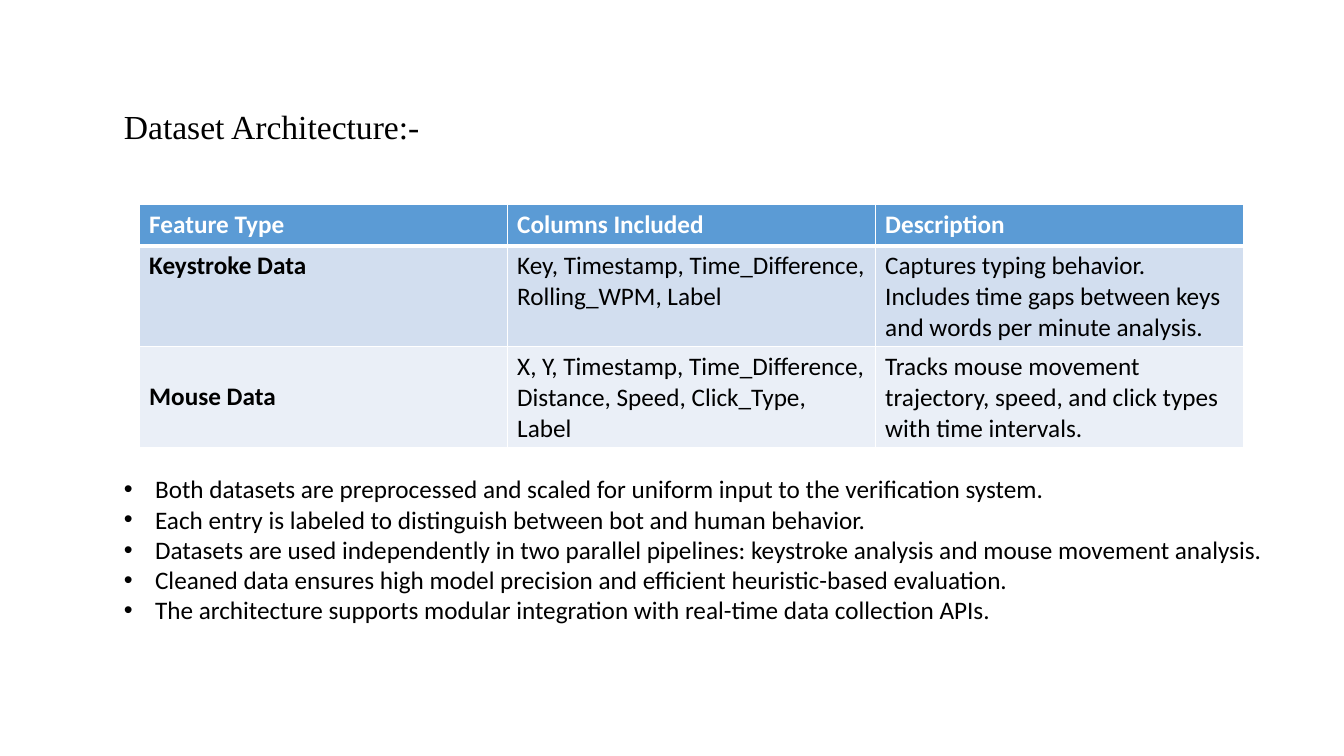
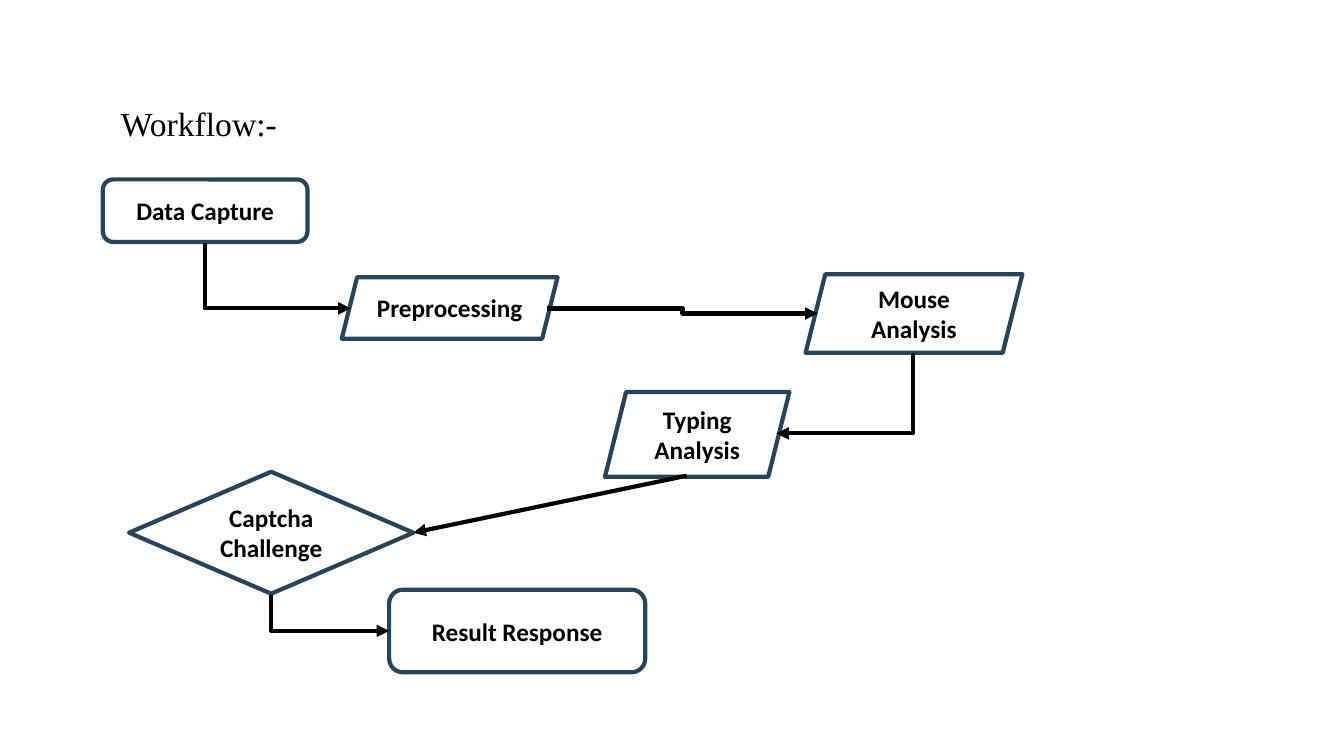
from dataclasses import dataclass

from lxml import etree
from pptx import Presentation
from pptx.dml.color import RGBColor
from pptx.enum.shapes import MSO_CONNECTOR, MSO_SHAPE
from pptx.enum.text import MSO_ANCHOR, PP_ALIGN
from pptx.oxml.ns import qn
from pptx.util import Inches, Pt

ROUNDED, SLANTED, DIAMOND = MSO_SHAPE.ROUNDED_RECTANGLE, MSO_SHAPE.PARALLELOGRAM, MSO_SHAPE.DIAMOND
STRAIGHT, ELBOW = MSO_CONNECTOR.STRAIGHT, MSO_CONNECTOR.ELBOW
TOP, MIDDLE = MSO_ANCHOR.TOP, MSO_ANCHOR.MIDDLE
CENTER = PP_ALIGN.CENTER
DIAMOND_RIGHT = 3


@dataclass(frozen=True)
class Theme:
    black: RGBColor = RGBColor.from_string("000000")
    white: RGBColor = RGBColor.from_string("FFFFFF")
    outline: RGBColor = RGBColor.from_string("28445D")
    header: RGBColor = RGBColor.from_string("5B9BD5")
    bands: tuple = (RGBColor.from_string("D2DEEF"), RGBColor.from_string("EAEFF7"))
    title_font: str = "Times New Roman"
    body_font: str = "Calibri"
    title_size: int = 24
    body_size: int = 18
    line_width: int = 3
    border_width: int = 1


THEME = Theme()

FEATURES = [
    ("Feature Type", "Columns Included", "Description"),
    ("Keystroke Data", "Key, Timestamp, Time_Difference, Rolling_WPM, Label",
     "Captures typing behavior. Includes time gaps between keys and words per minute analysis."),
    ("Mouse Data", "X, Y, Timestamp, Time_Difference, Distance, Speed, Click_Type, Label",
     "Tracks mouse movement trajectory, speed, and click types with time intervals."),
]

NOTES = [
    "Both datasets are preprocessed and scaled for uniform input to the verification system.",
    "Each entry is labeled to distinguish between bot and human behavior.",
    "Datasets are used independently in two parallel pipelines: "
    "keystroke analysis and mouse movement analysis.",
    "Cleaned data ensures high model precision and efficient heuristic-based evaluation.",
    "The architecture supports modular integration with real-time data collection APIs.",
]

STEPS = [
    ("Data Capture", ROUNDED, (1.02, 1.78, 2.03, 0.62)),
    ("Preprocessing", SLANTED, (3.39, 2.75, 2.14, 0.61)),
    ("Mouse Analysis", SLANTED, (7.99, 2.72, 2.15, 0.78)),
    ("Typing Analysis", SLANTED, (6, 3.89, 1.83, 0.84)),
    ("Captcha Challenge", DIAMOND, (1.28, 4.68, 2.82, 1.21)),
    ("Result Response", ROUNDED, (3.86, 5.85, 2.54, 0.82)),
]

# Each corner arrow leaves its start vertically and reaches its end horizontally.
CORNER_ARROWS = [
    ((2.03, 2.41), (3.48, 3.06)),
    ((9.06, 3.5), (7.7, 4.3)),
    ((2.69, 5.9), (3.86, 6.26)),
]


def inches(values):
    return [Inches(v) for v in values]


def style_text(p, color=THEME.black, bold=False, font=THEME.body_font, size=THEME.body_size):
    p.font.name = font
    p.font.size = Pt(size)
    p.font.bold = bold
    p.font.color.rgb = color


def add_text_box(s, box):
    tf = s.shapes.add_textbox(*inches(box)).text_frame
    tf.word_wrap = True
    return tf


def add_title(s, text, box):
    p = add_text_box(s, box).paragraphs[0]
    p.text = text
    style_text(p, font=THEME.title_font, size=THEME.title_size)


def add_bullets(s, items, box, indent=0.31):
    tf = add_text_box(s, box)
    for i, item in enumerate(items):
        p = tf.add_paragraph() if i else tf.paragraphs[0]
        p.text = item
        style_text(p)
        props = p._p.get_or_add_pPr()
        props.set("marL", str(Inches(indent)))
        props.set("indent", str(-Inches(indent)))
        etree.SubElement(props, qn("a:buFont"), typeface="Arial")
        etree.SubElement(props, qn("a:buChar"), char="•")


def set_borders(cell, widths):
    """Draw white borders; widths are points by side: L, R, T, B."""
    props = cell._tc.get_or_add_tcPr()
    for side, width in widths.items():
        ln = etree.SubElement(props, qn(f"a:ln{side}"), w=str(Pt(width)))
        fill = etree.SubElement(ln, qn("a:solidFill"))
        etree.SubElement(fill, qn("a:srgbClr"), val=str(THEME.white))


def add_feature_table(s, rows, box, heights):
    table = s.shapes.add_table(len(rows), len(rows[0]), *inches(box)).table
    for row, height in zip(table.rows, heights):
        row.height = Inches(height)
    thin, thick = THEME.border_width, THEME.line_width
    for r, texts in enumerate(rows):
        is_header = r == 0
        for c, text in enumerate(texts):
            cell = table.cell(r, c)
            cell.text = text
            set_borders(cell, {"L": thin, "R": thin, "T": thick if r == 1 else thin,
                               "B": thick if is_header else thin})
            cell.fill.solid()
            cell.fill.fore_color.rgb = THEME.header if is_header else THEME.bands[(r - 1) % 2]
            cell.vertical_anchor = MIDDLE if (r, c) == (2, 0) else TOP
            style_text(cell.text_frame.paragraphs[0],
                       THEME.white if is_header else THEME.black, bold=is_header or c == 0)


def add_step(s, text, kind, box):
    shape = s.shapes.add_shape(kind, *inches(box))
    shape.shadow.inherit = False
    shape.fill.solid()
    shape.fill.fore_color.rgb = THEME.white
    shape.line.color.rgb = THEME.outline
    shape.line.width = Pt(THEME.line_width)
    tf = shape.text_frame
    tf.word_wrap = True
    tf.vertical_anchor = MIDDLE
    p = tf.paragraphs[0]
    p.text = text
    p.alignment = CENTER
    style_text(p, bold=True)
    return shape


def add_arrow(s, kind, start, end, arrow_end="tailEnd"):
    """Add a connector; tailEnd puts the arrowhead at end, headEnd at start."""
    line = s.shapes.add_connector(kind, *inches(start + end))
    line.line.color.rgb = THEME.black
    line.line.width = Pt(THEME.line_width)
    etree.SubElement(line.line._get_or_add_ln(), qn(f"a:{arrow_end}"), type="triangle")
    etree.SubElement(line._element.spPr, qn("a:effectLst"))
    return line


def add_corner_arrow(s, start, end):
    """Run from end back to start, as a one-bend connector begins horizontally."""
    line = add_arrow(s, ELBOW, end, start, "headEnd")
    line._element.spPr.find(qn("a:prstGeom")).set("prst", "bentConnector2")


def build_dataset_slide(s):
    add_title(s, "Dataset Architecture:-", (1.13, 1, 5.71, 0.5))
    add_bullets(s, NOTES, (1.13, 4.65, 11.59, 1.62))
    add_feature_table(s, FEATURES, (1.38, 2.03, 10.95, 2.41), (0.41, 1, 1))


def build_workflow_slide(s):
    steps = {text: add_step(s, text, kind, box) for text, kind, box in STEPS}
    for start, end in CORNER_ARROWS:
        add_corner_arrow(s, start, end)
    add_arrow(s, ELBOW, (5.43, 3.06), (8.11, 3.11))
    add_title(s, "Workflow:-", (1.1, 0.97, 4.42, 0.5))
    to_captcha = add_arrow(s, STRAIGHT, (6.81, 4.72), (4.1, 5.29))
    to_captcha.end_connect(steps["Captcha Challenge"], DIAMOND_RIGHT)


def main():
    prs = Presentation()
    prs.slide_width, prs.slide_height = Inches(13.33), Inches(7.5)
    blank = prs.slide_layouts[6]
    for build in (build_dataset_slide, build_workflow_slide):
        build(prs.slides.add_slide(blank))
    prs.save("out.pptx")


if __name__ == "__main__":
    main()
